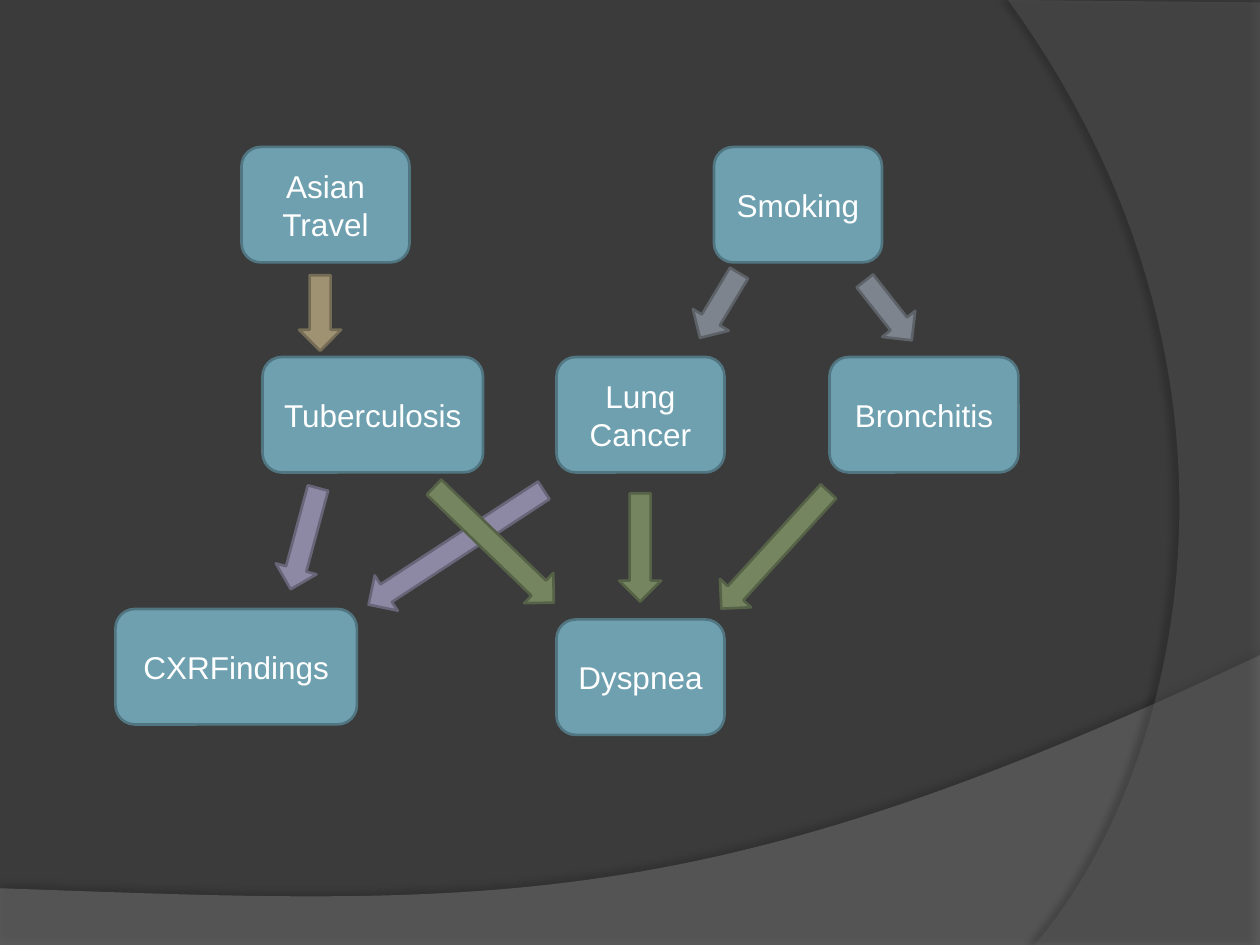
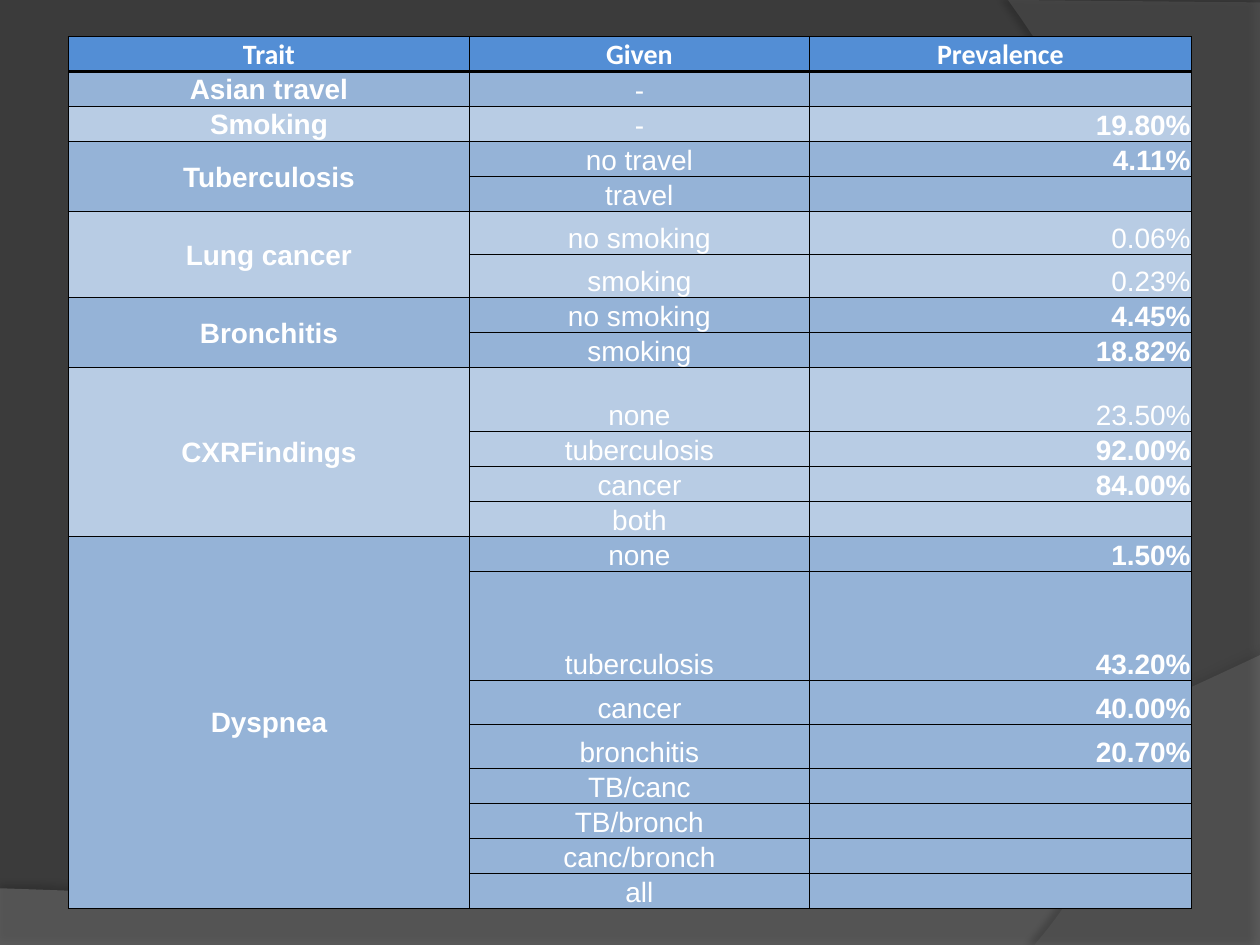
import math

from lxml import etree
from pptx import Presentation
from pptx.dml.color import RGBColor
from pptx.enum import shapes, text
from pptx.oxml import parse_xml
from pptx.oxml.ns import nsdecls, qn
from pptx.util import Pt

WIDTH, HEIGHT = 720, 540
COLOURS = {
    "background": "3B3B3B", "wave": "7F7F7F", "arc": "5E5E5E",
    "text": "FFFFFF", "border": "000000",
    "box": "6EA0B0", "box line": "517682",
    "travel": "9E9273", "travel line": "756C55",
    "smoking": "7E848D", "smoking line": "5D6268",
    "findings": "8D89A4", "findings line": "686579",
    "dyspnea": "748560", "dyspnea line": "566247",
    "header": "538ED5", "dark band": "95B3D7", "light band": "B8CCE4",
}

BOX_HEIGHT = 66
BOXES = [  # label, left, top, width
    ("Asian Travel", 138, 84, 96),
    ("Smoking", 408, 84, 96),
    ("Dyspnea", 318, 354, 96),
    ("Tuberculosis", 150, 204, 126),
    ("Lung Cancer", 318, 204, 96),
    ("CXRFindings", 66, 348, 138),
    ("Bronchitis", 474, 204, 108),
]
ARROW_THICKNESS = 24
ARROWS = [  # colour, tail, tip
    ("smoking", (422.3, 156.1), (400, 193.1)),
    ("dyspnea", (365.8, 281.9), (365.8, 343.8)),
    ("smoking", (494.2, 160.5), (521, 194.5)),
    ("dyspnea", (473.4, 280.8), (412.2, 347.8)),
    ("travel", (182.9, 157.3), (182.9, 200.5)),
    ("findings", (181.7, 278.9), (166.1, 336.7)),
    ("findings", (310.7, 280.2), (210.6, 345.5)),
    ("dyspnea", (248, 278.4), (316.5, 344.4)),
]

HEADINGS = ("Trait", "Given", "Prevalence")
TRAITS = [
    ("Asian travel", [("-", "")]),
    ("Smoking", [("-", "19.80%")]),
    ("Tuberculosis", [("no travel", "4.11%"), ("travel", "")]),
    ("Lung cancer", [("no smoking", "0.06%"), ("smoking", "0.23%")]),
    ("Bronchitis", [("no smoking", "4.45%"), ("smoking", "18.82%")]),
    ("CXRFindings", [("none", "23.50%"), ("tuberculosis", "92.00%"),
                     ("cancer", "84.00%"), ("both", "")]),
    ("Dyspnea", [("none", "1.50%"), ("tuberculosis", "43.20%"),
                 ("cancer", "40.00%"), ("bronchitis", "20.70%"),
                 ("TB/canc", ""), ("TB/bronch", ""), ("canc/bronch", ""),
                 ("all", "")]),
]
PLAIN_VALUES = {"0.06%", "0.23%", "23.50%"}
COLUMN_WIDTHS = (229.4, 194, 218.6)
ROW_HEIGHT = 20
TALL_ROWS = {5: 24.6, 6: 24.6, 9: 36.6, 14: 62.2, 15: 25.1, 16: 25.1}


def colour(name):
    return RGBColor.from_string(COLOURS[name])


def curve(start, control1, control2, end, steps=60):
    """Points along a cubic Bezier curve, without its start."""
    points = []
    for step in range(1, steps + 1):
        t = step / steps
        weights = ((1 - t) ** 3, 3 * t * (1 - t) ** 2, 3 * t * t * (1 - t), t ** 3)
        points.append(tuple(
            sum(weight * point[axis] for weight, point
                in zip(weights, (start, control1, control2, end)))
            for axis in (0, 1)))
    return points


def add_backdrop_shape(slide, points, fill, opacity, shadow_opacity, distance, direction):
    builder = slide.shapes.build_freeform(
        *(round(value * 100) for value in points[0]), scale=Pt(1) / 100)
    builder.add_line_segments(
        [(round(x * 100), round(y * 100)) for x, y in points[1:]], close=True)
    shape = builder.convert_to_shape()
    shape.fill.solid()
    shape.fill.fore_color.rgb = colour(fill)
    shape.line.fill.background()
    properties = shape.element.spPr
    rgb = properties.find(qn("a:solidFill")).find(qn("a:srgbClr"))
    etree.SubElement(rgb, qn("a:alpha")).set("val", str(opacity * 1000))
    properties.append(parse_xml(
        f'<a:effectLst {nsdecls("a")}><a:outerShdw blurRad="{Pt(4)}" dist="{Pt(distance)}" '
        f'dir="{direction * 60000}" algn="ctr" rotWithShape="0"><a:srgbClr val="000000">'
        f'<a:alpha val="{shadow_opacity * 1000}"/></a:srgbClr></a:outerShdw></a:effectLst>'))


def add_slide(presentation):
    """A blank slide with the dark background and its two curved bands."""
    slide = presentation.slides.add_slide(presentation.slide_layouts[6])
    slide.background.fill.solid()
    slide.background.fill.fore_color.rgb = colour("background")
    wave = [(0, 507.6), (0, HEIGHT), (WIDTH, HEIGHT), (WIDTH, 374.4)]
    wave += curve(wave[-1], (402.5, 524.9), (281.5, 517.7), wave[0])
    add_backdrop_shape(slide, wave, "wave", 45, 35, 3.5, 270)
    arc = [(WIDTH, 1.4), (WIDTH, HEIGHT), (591.1, HEIGHT)]
    arc += curve(arc[-1], (673.2, 445.7), (733, 216), (576, 0))
    add_backdrop_shape(slide, arc, "arc", 40, 45, 4, 180)
    return slide


def add_filled_shape(slide, kind, left, top, width, height, fill):
    shape = slide.shapes.add_shape(kind, Pt(left), Pt(top), Pt(width), Pt(height))
    shape.shadow.inherit = False
    shape.fill.solid()
    shape.fill.fore_color.rgb = colour(fill)
    shape.line.color.rgb = colour(fill + " line")
    shape.line.width = Pt(1.5)
    return shape


def style_paragraph(paragraph, font_name, size, alignment, bold=False):
    paragraph.alignment = alignment
    paragraph.font.name = font_name
    paragraph.font.size = Pt(size)
    paragraph.font.bold = bold
    paragraph.font.color.rgb = colour("text")


def add_box(slide, label, left, top, width):
    box = add_filled_shape(slide, shapes.MSO_SHAPE.ROUNDED_RECTANGLE,
                           left, top, width, BOX_HEIGHT, "box")
    frame = box.text_frame
    frame.word_wrap = True
    frame.vertical_anchor = text.MSO_ANCHOR.MIDDLE
    frame.text = label
    style_paragraph(frame.paragraphs[0], "Arial", 18, text.PP_ALIGN.CENTER)


def add_arrow(slide, fill, tail, tip):
    """A block arrow turned so that it runs from tail to tip."""
    length = math.dist(tail, tip)
    centre_x, centre_y = ((a + b) / 2 for a, b in zip(tail, tip))
    arrow = add_filled_shape(slide, shapes.MSO_SHAPE.RIGHT_ARROW,
                             centre_x - length / 2, centre_y - ARROW_THICKNESS / 2,
                             length, ARROW_THICKNESS, fill)
    arrow.rotation = math.degrees(math.atan2(tip[1] - tail[1], tip[0] - tail[0]))


def set_borders(cell, row):
    """Thin lines all round, with a thick one between header and body."""
    properties = cell._tc.get_or_add_tcPr()
    thick_side = {0: "B", 1: "T"}.get(row)
    for side in "LRTB":
        width = Pt(2 if side == thick_side else 0.5)
        properties.append(parse_xml(
            f'<a:ln{side} {nsdecls("a")} w="{width}"><a:solidFill>'
            f'<a:srgbClr val="{COLOURS["border"]}"/></a:solidFill></a:ln{side}>'))


def fill_cell(table, row, column, content, fill, font_name="Arial", bold=False,
              alignment=text.PP_ALIGN.CENTER, anchor=text.MSO_ANCHOR.BOTTOM):
    cell = table.cell(row, column)
    set_borders(cell, row)
    cell.fill.solid()
    cell.fill.fore_color.rgb = colour(fill)
    cell.margin_left = cell.margin_right = cell.margin_top = Pt(0.7)
    cell.margin_bottom = 0
    cell.vertical_anchor = anchor
    cell.text = content
    paragraph = cell.text_frame.paragraphs[0]
    style_paragraph(paragraph, font_name, 16, alignment, bold)
    if not content:
        end = etree.SubElement(paragraph._p, qn("a:endParaRPr"))
        end.set("sz", "1600")


def add_prevalence_table(slide):
    row_count = 1 + sum(len(cases) for _, cases in TRAITS)
    heights = [TALL_ROWS.get(row, ROW_HEIGHT) for row in range(row_count)]
    table = slide.shapes.add_table(
        row_count, len(HEADINGS), Pt(39), Pt(20.8),
        Pt(sum(COLUMN_WIDTHS)), Pt(sum(heights))).table
    table.first_row = table.horz_banding = False
    for column, width in zip(table.columns, COLUMN_WIDTHS):
        column.width = Pt(width)
    for table_row, height in zip(table.rows, heights):
        table_row.height = Pt(height)

    for column, heading in enumerate(HEADINGS):
        fill_cell(table, 0, column, heading, "header", "Calibri", bold=True)
    row = 1
    for index, (trait, cases) in enumerate(TRAITS):
        band = "light band" if index % 2 else "dark band"
        first_row = row
        for given, prevalence in cases:
            fill_cell(table, row, 0, trait if row == first_row else "", band,
                      bold=True, anchor=text.MSO_ANCHOR.MIDDLE)
            fill_cell(table, row, 1, given, band)
            fill_cell(table, row, 2, prevalence, band,
                      bold=prevalence not in PLAIN_VALUES,
                      alignment=text.PP_ALIGN.RIGHT)
            row += 1
        if len(cases) > 1:
            table.cell(first_row, 0).merge(table.cell(row - 1, 0))


def main():
    presentation = Presentation()
    presentation.slide_width, presentation.slide_height = Pt(WIDTH), Pt(HEIGHT)

    network = add_slide(presentation)
    for box in BOXES:
        add_box(network, *box)
    for arrow in ARROWS:
        add_arrow(network, *arrow)

    add_prevalence_table(add_slide(presentation))
    presentation.save("out.pptx")


if __name__ == "__main__":
    main()
